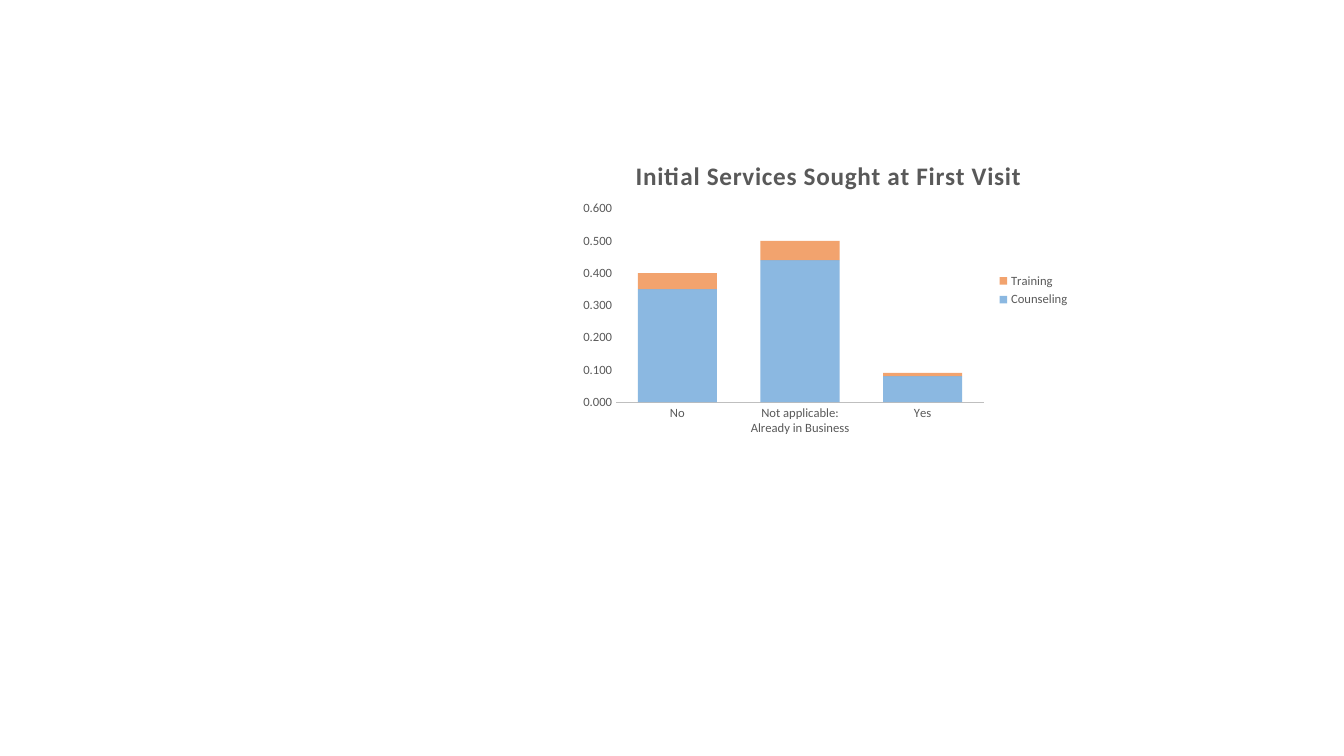
from lxml import etree
from pptx import Presentation
from pptx import util as u
from pptx.chart.data import CategoryChartData
from pptx.dml.color import RGBColor
from pptx.enum import chart as ch
from pptx.oxml import parse_xml
from pptx.oxml.ns import nsdecls, qn

BLUE = RGBColor(0x5B, 0x9B, 0xD5)
ORANGE = RGBColor(0xED, 0x7D, 0x31)
GRAY = RGBColor(0x59, 0x59, 0x59)
LIGHT_GRAY = RGBColor(0xBF, 0xBF, 0xBF)


class Deck:
    font = "Calibri"
    cell = u.Inches(1)

    def __init__(self, columns, rows):
        self.prs = Presentation()
        self.prs.slide_width = self.grid(columns)
        self.prs.slide_height = self.grid(rows)
        self.slide = self.prs.slides.add_slide(self.prs.slide_layouts[6])

    def grid(self, cells):
        return u.Emu(round(cells * self.cell))

    def style(self, font, size, bold=False):
        font.name = self.font
        font.size = u.Pt(size)
        font.bold = bold
        font.color.rgb = GRAY

    def place(self, element, **shares):
        for old in element.findall(qn("c:layout")):
            element.remove(old)
        layout = parse_xml(f"<c:layout {nsdecls('c')}><c:manualLayout/></c:layout>")
        manual = layout[0]
        if "w" in shares:
            etree.SubElement(manual, qn("c:layoutTarget")).set("val", "inner")
        for axis in ("x", "y"):
            etree.SubElement(manual, qn(f"c:{axis}Mode")).set("val", "edge")
        for key, share in shares.items():
            etree.SubElement(manual, qn(f"c:{key}")).set("val", str(share))
        element.insert(len(element.findall(qn("c:tx"))), layout)

    def stacked_columns(self, box, categories, series):
        data = CategoryChartData(number_format="0.000")
        data.categories = categories
        for name, values, color in series:
            data.add_series(name, values)
        frame = self.slide.shapes.add_chart(
            ch.XL_CHART_TYPE.COLUMN_STACKED, *map(self.grid, box), data)
        chart = frame.chart
        self.style(chart.font, 9)
        plot = chart.plots[0]
        plot.gap_width = 55
        plot.overlap = 100
        plot.vary_by_categories = False
        for bars, (name, values, color) in zip(plot.series, series):
            fill = bars.format.fill
            fill.solid()
            fill.fore_color.rgb = color
            rgb = bars.format._element.find(".//" + qn("a:srgbClr"))
            etree.SubElement(rgb, qn("a:alpha")).set("val", "70000")
        self.axes(chart)
        chart.has_legend = True
        chart.legend.position = ch.XL_LEGEND_POSITION.RIGHT
        chart.legend.include_in_layout = False
        self.style(chart.legend.font, 9)
        self.place(chart._chartSpace.chart.plotArea, x=0.08, y=0.23, w=0.73, h=0.64)
        return chart

    def axes(self, chart):
        for axis in (chart.category_axis, chart.value_axis):
            axis.major_tick_mark = axis.minor_tick_mark = ch.XL_TICK_MARK.NONE
            axis.has_major_gridlines = False
            self.style(axis.tick_labels.font, 9)
        line = chart.category_axis.format.line
        line.color.rgb = LIGHT_GRAY
        line.width = u.Pt(0.75)
        values = chart.value_axis
        values.format.line.fill.background()
        values.minimum_scale, values.maximum_scale, values.major_unit = 0, 0.6, 0.1
        values.tick_labels.number_format = "0.000"
        values.tick_labels.number_format_is_linked = False

    def chart_title(self, chart, wording):
        chart.has_title = True
        title = chart.chart_title
        title.include_in_layout = False
        r = title.text_frame.paragraphs[0].add_run()
        r.text = wording
        self.style(r.font, 18, bold=True)
        r.font._rPr.set("spc", "50")
        self.place(title._element, x=0.11, y=0.05)


def main():
    deck = Deck(13.33, 7.5)
    chart = deck.stacked_columns(
        (5.71, 1.38, 5, 3),
        ["No", "Not applicable: Already in Business", "Yes"],
        [("Counseling", (0.35, 0.44, 0.08), BLUE),
         ("Training", (0.05, 0.06, 0.01), ORANGE)])
    deck.chart_title(chart, "Initial Services Sought at First Visit")
    deck.prs.save("out.pptx")


if __name__ == "__main__":
    main()
